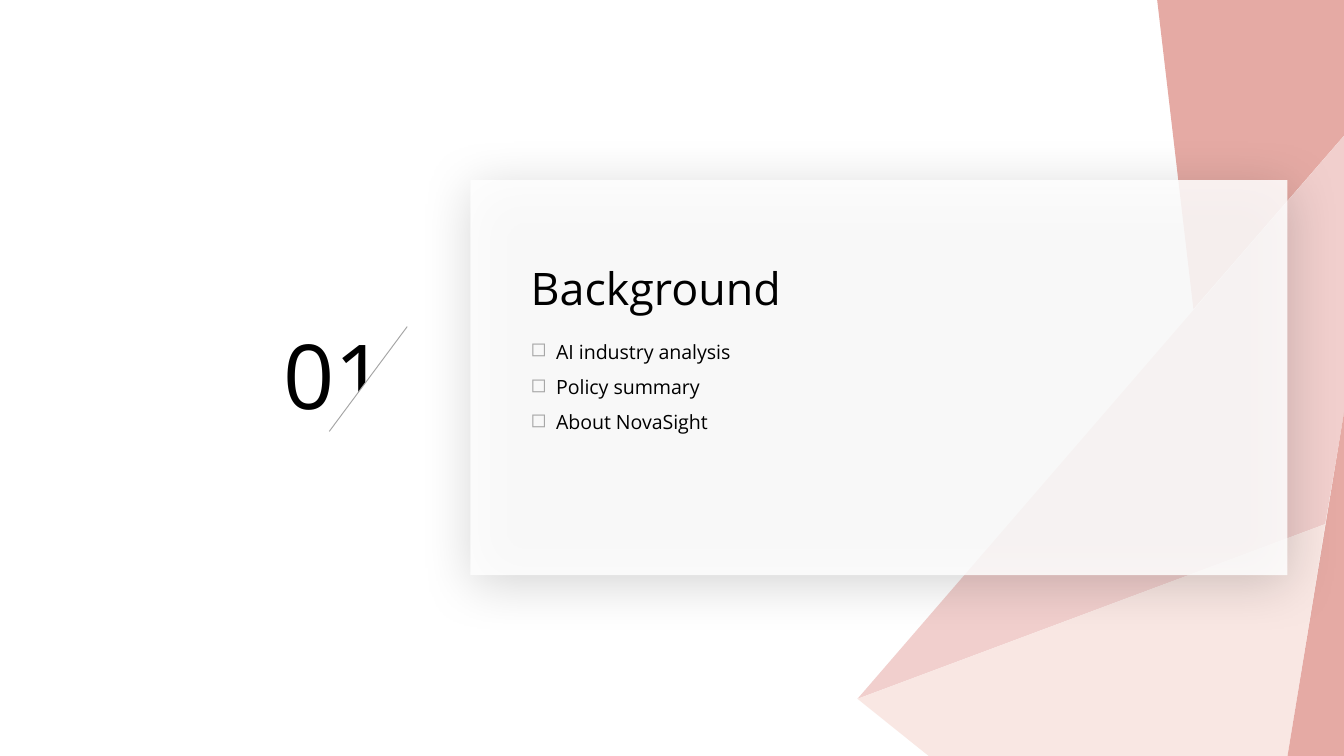
from lxml import etree
from pptx import Presentation
from pptx.dml.color import RGBColor
from pptx.enum.shapes import MSO_CONNECTOR, MSO_SHAPE
from pptx.oxml import parse_xml
from pptx.oxml.ns import nsdecls, qn
from pptx.util import Inches, Pt

LINE = MSO_CONNECTOR.STRAIGHT
RECTANGLE = MSO_SHAPE.RECTANGLE
RIGHT_TRIANGLE = MSO_SHAPE.RIGHT_TRIANGLE

FONT = "Open Sans"
BLACK = RGBColor(0x00, 0x00, 0x00)
WHITE = RGBColor(0xFF, 0xFF, 0xFF)
GREY = RGBColor(0xA5, 0xA5, 0xA5)
ROSE = RGBColor(0xE5, 0xAA, 0xA4)
PINK = RGBColor(0xF1, 0xCF, 0xCD)
CREAM = RGBColor(0xF9, 0xE7, 0xE3)

# The slide is a grid of square cells, 100 columns by 56.25 rows.
COLUMNS, ROWS = 100, 56.25
CELL = Inches(0.1)


def cells(*counts):
    """Turn grid counts into lengths."""
    return [round(count * CELL) for count in counts]


def add_text(left, top, width, height, lines, size, wrap=True):
    box = page.shapes.add_textbox(*cells(left, top, width, height))
    box.text_frame.text = "\n".join(lines)
    box.text_frame.word_wrap = wrap
    for para in box.text_frame.paragraphs:
        for span in para.runs:
            span.font.name = FONT
            span.font.size = Pt(size)
            span.font.color.rgb = BLACK
    return box


deck = Presentation()
deck.slide_width, deck.slide_height = cells(COLUMNS, ROWS)
page = deck.slides.add_slide(deck.slide_layouts[6])

# Faceted background: neighbouring facets share these corners.
tip = (63.8, 52)
fold = (98.6, 39)
right_upper = (COLUMNS, 10.1)
right_lower = (COLUMNS, 30.7)
foot = (95.8, ROWS)
facets = [
    (ROSE, [(88.8, 23), (86.1, 0), (COLUMNS, 0), right_upper]),
    (PINK, [tip, fold, right_lower, right_upper]),
    (CREAM, [tip, (69.1, ROWS), foot, fold]),
    (ROSE, [foot, (COLUMNS, ROWS), right_lower]),
]
for color, corners in facets:
    points = [cells(*corner) for corner in corners]
    builder = page.shapes.build_freeform(*points[0], scale=1.0)
    builder.add_line_segments(points[1:], close=True)
    facet = builder.convert_to_shape()
    facet.shadow.inherit = False
    facet.fill.solid()
    facet.fill.fore_color.rgb = color
    facet.line.fill.background()

# Translucent card with a soft shadow
card = page.shapes.add_shape(RECTANGLE, *cells(35, 13.4, 60.8, 29.4))
card.fill.solid()
card.fill.fore_color.rgb = WHITE
card.line.fill.background()
card_color = card.fill._xPr.find(qn("a:solidFill"))[0]
etree.SubElement(card_color, qn("a:alpha"), val="85000")
card.shadow.inherit = False
effects = card._element.spPr.find(qn("a:effectLst"))
effects.append(parse_xml(
    f'<a:outerShdw {nsdecls("a")} blurRad="{Pt(29)}" dist="{Pt(5)}" '
    f'dir="{77 * 60000}" algn="t" rotWithShape="0">'
    '<a:srgbClr val="000000"><a:alpha val="20000"/></a:srgbClr></a:outerShdw>'
))

add_text(20.1, 23.3, 9.8, 9.1, ["01"], 48)
add_text(38.5, 18.9, 22.3, 5, ["Background"], 24, wrap=False)

# A white triangle cuts the number along a thin diagonal.
cut = page.shapes.add_shape(RIGHT_TRIANGLE, *cells(23.5, 25.3, 7.8, 5.8))
cut.rotation = 270
cut.shadow.inherit = False
cut.fill.solid()
cut.fill.fore_color.rgb = WHITE
cut.line.fill.background()
diagonal = page.shapes.add_connector(LINE, *cells(30.3, 24.3, 24.5, 32.1))
diagonal.line.color.rgb = GREY
diagonal.line.width = Pt(0.5)
etree.SubElement(diagonal._element.spPr, qn("a:effectLst"))

topics = ["AI industry analysis", "Policy summary", "About NovaSight"]
agenda = add_text(38.5, 23.9, 25, 11.3, topics, 10.5)
for para in agenda.text_frame.paragraphs:
    para.line_spacing = 1.5
    properties = para._p.get_or_add_pPr()
    indent = Inches(0.19)
    properties.set("marL", str(indent))
    properties.set("indent", str(-indent))
    bullet_color = etree.SubElement(properties, qn("a:buClr"))
    etree.SubElement(bullet_color, qn("a:srgbClr"), val=str(GREY))
    etree.SubElement(properties, qn("a:buChar"), char="◻")

deck.save("out.pptx")
